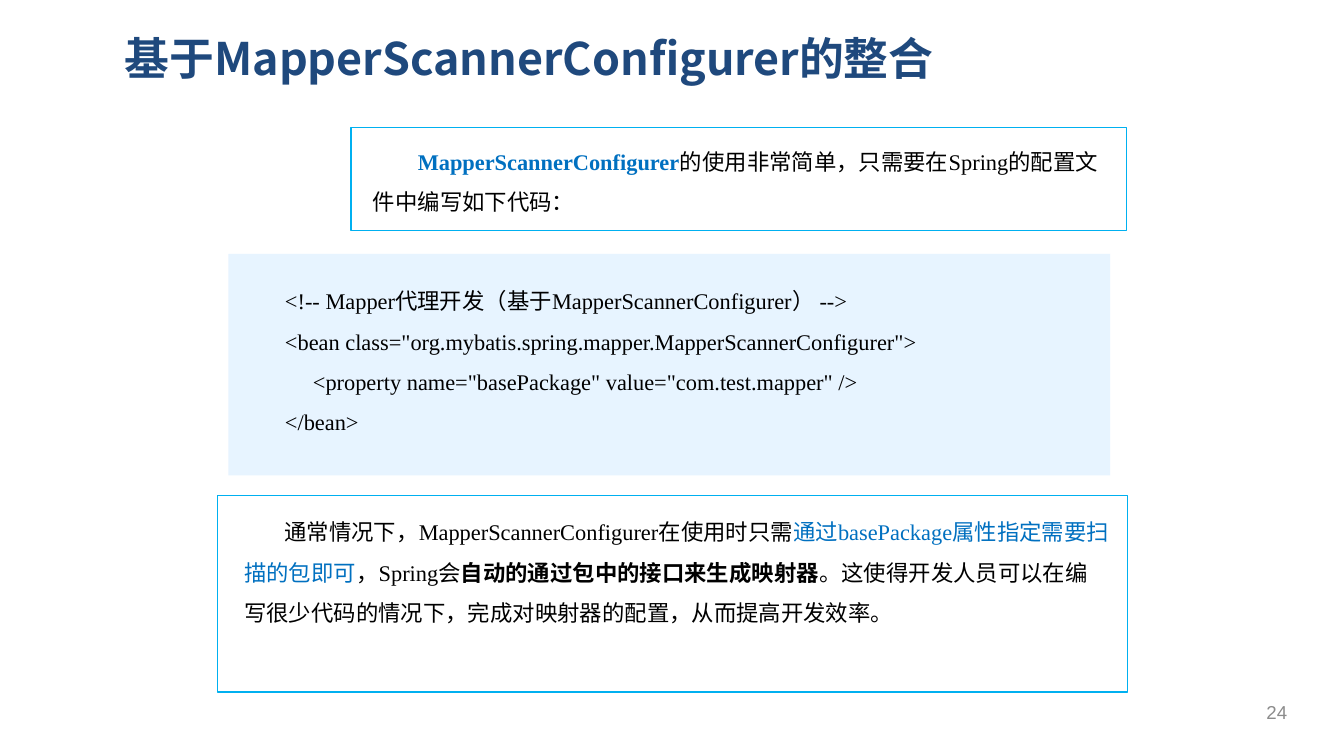
"""Build the MapperScannerConfigurer integration slide."""
from lxml.etree import SubElement
from pptx import Presentation
from pptx.dml.color import RGBColor
from pptx.enum.shapes import MSO_SHAPE
from pptx.enum.text import MSO_ANCHOR, PP_ALIGN
from pptx.oxml.ns import qn
from pptx.util import Pt

WHITE = RGBColor(0xFF, 0xFF, 0xFF)
BLACK = RGBColor(0, 0, 0)
NAVY = RGBColor(0x1F, 0x49, 0x7D)
BLUE = RGBColor(0x00, 0x70, 0xC0)
CYAN = RGBColor(0x00, 0xB0, 0xF0)
PALE = RGBColor(0xE7, 0xF4, 0xFF)
GRAY = RGBColor(0x8C, 0x8C, 0x8C)
CJK = "Noto Sans CJK SC"

PLAIN = {"name": "Times New Roman", "size": Pt(12), "color": BLACK, "bold": False}
KEY = {**PLAIN, "color": BLUE}
STRONG = {**PLAIN, "bold": True}
TITLE = {"name": CJK, "size": Pt(24), "color": NAVY, "bold": True}
NUMBER = {"name": "Arial", "size": Pt(10), "color": GRAY, "bold": False}

PANELS = [
    ((188, 68.2, 415.5, 55.5), WHITE, CYAN),
    ((116.6, 265.6, 487.4, 105.2), WHITE, CYAN),
    ((122.3, 136, 472.4, 118.7), PALE, None),
]
INTRO = [[
    ("MapperScannerConfigurer", {**KEY, "bold": True}),
    ("的使用非常简单，只需要在Spring的配置文件中编写如下代码：", PLAIN),
]]
SUMMARY = [[
    ("通常情况下，MapperScannerConfigurer在使用时只需", PLAIN),
    ("通过basePackage属性指定需要扫描的包即可", KEY),
    ("，Spring会", PLAIN),
    ("自动的通过包中的接口来生成映射器", STRONG),
    ("。这使得开发人员可以在编写很少代码的情况下，完成对映射器的配置，从而提高开发效率。", PLAIN),
]]
CODE = [[(line, PLAIN)] for line in (
    "<!-- Mapper代理开发（基于MapperScannerConfigurer） -->",
    '<bean class="org.mybatis.spring.mapper.MapperScannerConfigurer">',
    '     <property name="basePackage" value="com.test.mapper" />',
    "</bean>",
)]
HEADING = [[("基于MapperScannerConfigurer的整合", TITLE)]]
PAGE = [[("24", NUMBER)]]

BODY = {"line_spacing": 1.5}
TEXTS = [
    ((59.8, 13, 629.3, 36), HEADING, {}, 0, MSO_ANCHOR.MIDDLE),
    ((192.7, 68.4, 404.6, 48.2), INTRO, BODY, 24, MSO_ANCHOR.TOP),
    ((123.8, 267.1, 478.1, 69.8), SUMMARY, BODY, 21.5, MSO_ANCHOR.TOP),
    ((145.6, 143.3, 430.6, 92.2), CODE, BODY, 0, MSO_ANCHOR.TOP),
    ((666.7, 370.8, 34.6, 21.6), PAGE, {"alignment": PP_ALIGN.CENTER}, 0, MSO_ANCHOR.MIDDLE),
]


def add_panel(s, box, fill, line):
    sp = s.shapes.add_shape(MSO_SHAPE.RECTANGLE, *map(Pt, box))
    sp.shadow.inherit = False
    sp.fill.solid()
    sp.fill.fore_color.rgb = fill
    if line is None:
        sp.line.fill.background()
    else:
        sp.line.color.rgb = line
        sp.line.width = Pt(0.75)


def add_run(p, text, style):
    r = p.add_run()
    r.text = text
    for key, value in style.items():
        if key == "color":
            r.font.color.rgb = value
        else:
            setattr(r.font, key, value)
    SubElement(r.font._element, qn("a:ea"), typeface=CJK)


def add_text(s, box, paragraphs, layout, indent, anchor):
    tf = s.shapes.add_textbox(*map(Pt, box)).text_frame
    tf.word_wrap = True
    tf.vertical_anchor = anchor
    for i, runs in enumerate(paragraphs):
        p = tf.add_paragraph() if i else tf.paragraphs[0]
        for key, value in layout.items():
            setattr(p, key, value)
        if indent:
            p._p.get_or_add_pPr().set("indent", str(int(Pt(indent))))
        for text, style in runs:
            add_run(p, text, style)


def main():
    prs = Presentation()
    prs.slide_width, prs.slide_height = Pt(720), Pt(405)
    s = prs.slides.add_slide(prs.slide_layouts[6])
    s.background.fill.solid()
    s.background.fill.fore_color.rgb = WHITE
    for panel in PANELS:
        add_panel(s, *panel)
    for text in TEXTS:
        add_text(s, *text)
    prs.save("out.pptx")


if __name__ == "__main__":
    main()
